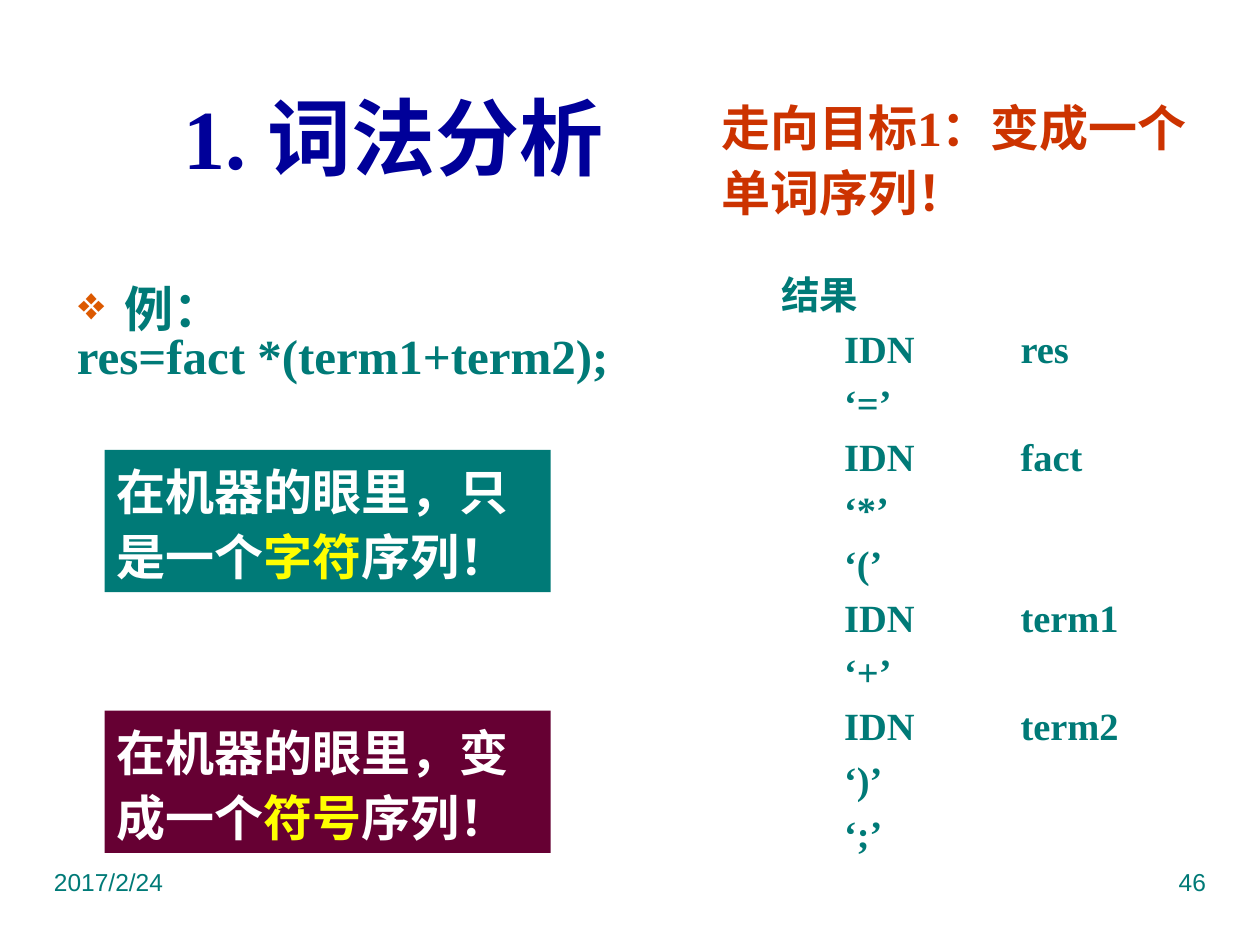
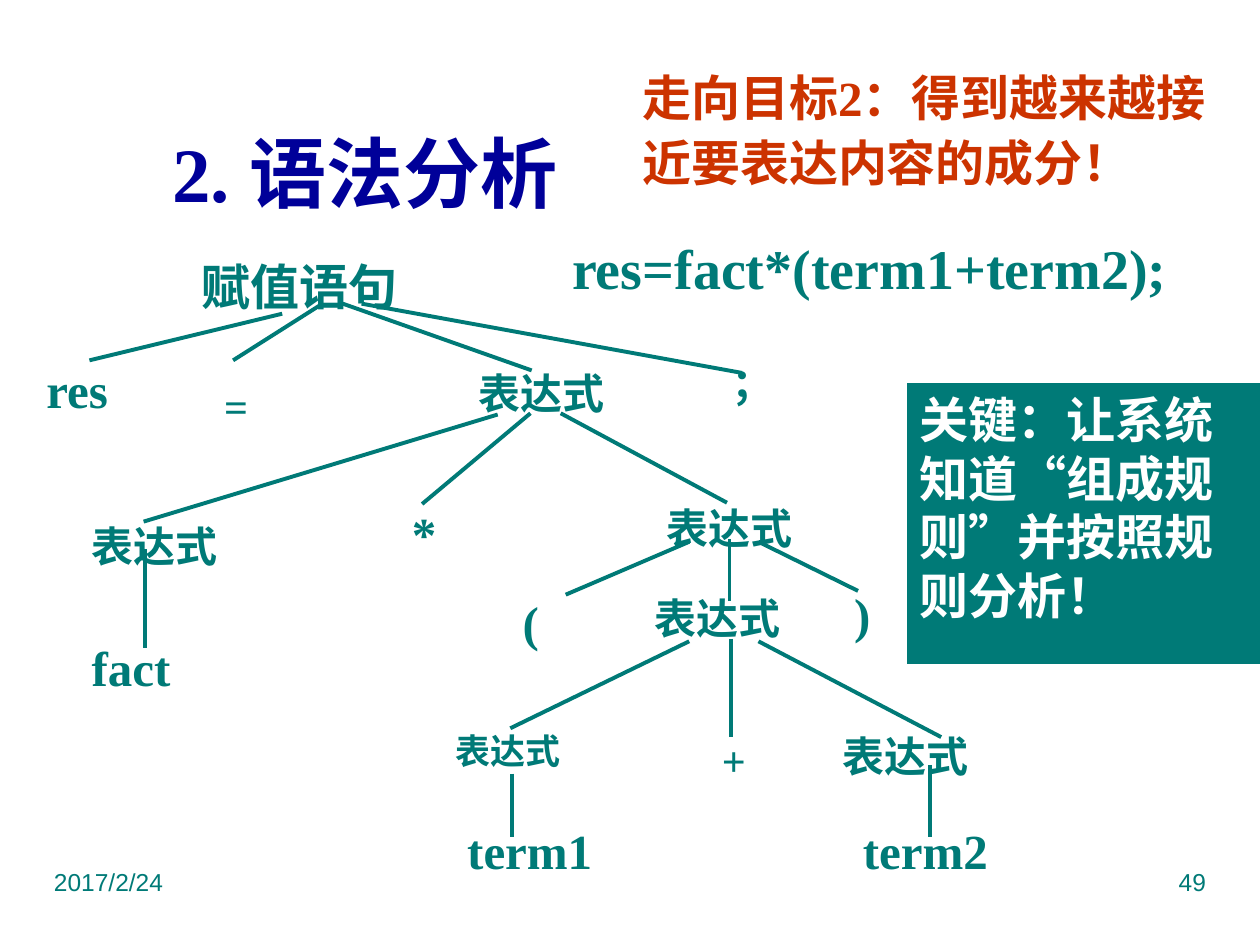
import pptx
import pptx.util
import pptx.dml.color
import pptx.enum.shapes
import pptx.enum.text
import pptx.oxml.ns
from lxml import etree

COLORS = {
    "teal": "007A77",
    "navy": "000099",
    "rust": "CC3300",
    "wine": "660033",
    "white": "FFFFFF",
    "yellow": "FFFF00",
    "bullet": "DC5900",
}
SERIF, SANS, CJK, KEY_FONT = "Times New Roman", "Arial", "Noto Sans CJK JP", "Karla"

# The slide is a grid of 10 columns by 7.5 rows of square cells.
CELL = pptx.util.Inches(1)
COLUMNS, ROWS = 10, 7.5

ALIGN = pptx.enum.text.PP_ALIGN
ANCHOR = pptx.enum.text.MSO_ANCHOR


def cells(*values):
    return [round(v * CELL) for v in values]


def rgb(name):
    return pptx.dml.color.RGBColor.from_string(COLORS[name])


def sub(parent, tag, **attrs):
    return etree.SubElement(parent, pptx.oxml.ns.qn(tag), **attrs)


def add_run(p, text, size, color="teal", font=SERIF, bold=True):
    r = p.add_run()
    r.text = text
    r.font.size = pptx.util.Pt(size)
    r.font.name = font
    r.font.bold = bold
    r.font.color.rgb = rgb(color)
    sub(r._r.get_or_add_rPr(), "a:ea", typeface=CJK)


def format_list_item(p, margin, indent, bullet=None):
    """Set the margin and hanging indent, with an optional bullet sign."""
    pPr = p._p.get_or_add_pPr()
    left, hang = cells(margin, indent)
    pPr.set("marL", str(left))
    pPr.set("indent", str(hang))
    if bullet:
        clr = sub(pPr, "a:buClr")
        sub(clr, "a:srgbClr", val=COLORS["bullet"])
        sub(pPr, "a:buSzPct", val="75000")
        sub(pPr, "a:buFont", typeface=SERIF)
        sub(pPr, "a:buChar", char=bullet)
    else:
        sub(pPr, "a:buNone")


def space(p, before=0, line=1.0):
    p.space_before = pptx.util.Pt(before)
    p.line_spacing = line


def place(sp, box):
    sp.left, sp.top, sp.width, sp.height = cells(*box)
    tf = sp.text_frame
    tf.auto_size = pptx.enum.text.MSO_AUTO_SIZE.NONE
    tf.word_wrap = True
    return tf


def add_text(s, box, runs, line=1.1, align=None, wrap=True):
    """Add a one-paragraph text box; each run is a tuple for add_run."""
    tf = place(s.shapes.add_textbox(0, 0, 0, 0), box)
    tf.word_wrap = wrap
    p = tf.paragraphs[0]
    space(p, line=line)
    if align is not None:
        p.alignment = align
    for run in runs:
        add_run(p, *run)


def add_panel(s, box, fill, runs, line=1.1):
    sp = s.shapes.add_shape(pptx.enum.shapes.MSO_SHAPE.RECTANGLE, 0, 0, 0, 0)
    sp.shadow.inherit = False
    sp.fill.solid()
    sp.fill.fore_color.rgb = rgb(fill)
    sp.line.fill.background()
    tf = place(sp, box)
    tf.vertical_anchor = ANCHOR.TOP
    p = tf.paragraphs[0]
    p.alignment = ALIGN.LEFT
    space(p, line=line)
    for run in runs:
        add_run(p, *run)


def add_branch(s, start, end):
    c = s.shapes.add_connector(
        pptx.enum.shapes.MSO_CONNECTOR.STRAIGHT, *cells(*start, *end))
    c.line.color.rgb = rgb("teal")
    c.line.width = pptx.util.Pt(2.25)
    sub(c._element.spPr, "a:effectLst")


def add_slide(prs, layout, number, title, title_box, size):
    s = prs.slides.add_slide(prs.slide_layouts[layout])
    tf = place(s.shapes.title, title_box)
    tf.vertical_anchor = ANCHOR.MIDDLE
    p = tf.paragraphs[0]
    p.alignment = ALIGN.CENTER
    add_run(p, title, size, "navy")
    width, top, edge = 2.5, 6.83, 0.33
    for left, text, align in ((edge, "2017/2/24", ALIGN.LEFT),
                              (COLUMNS - edge - width, number, ALIGN.RIGHT)):
        add_text(s, (left, top, width, 0.52),
                 [(text, 14, "teal", SANS, False)], 1.0, align)
    return s


def add_goal(s, box, text):
    add_text(s, box, [(text, 28, "rust")])


def add_machine_view(s, top, fill, verb, unit):
    add_panel(s, (0.83, top, 3.54, 1.13), fill, [
        (f"在机器的眼里，{verb}一个", 28, "white", CJK),
        (unit, 28, "yellow", CJK),
        ("序列！", 28, "white", CJK),
    ])


def fill_example(tf):
    p = tf.paragraphs[0]
    format_list_item(p, 0.38, -0.38, "❖")
    space(p, line=0.8)
    add_run(p, "例：", 28)
    p = tf.add_paragraph()
    format_list_item(p, 0.38, -0.38)
    space(p, line=0.8)
    add_run(p, "res=fact *(term1+term2);", 28)


def fill_tokens(tf, tokens):
    p = tf.paragraphs[0]
    format_list_item(p, 0.38, -0.38)
    space(p)
    add_run(p, "结果", 22)
    for token in tokens:
        p = tf.add_paragraph()
        p.level = 1
        # The hanging indent doubles as the column stop for the names.
        format_list_item(p, 1.9, -1.4)
        space(p, before=4.4)
        add_run(p, token, 22)


def lexical_slide(prs):
    s = add_slide(prs, 3, "46", "1. 词法分析", (0.75, 0.68, 4.74, 0.8), 48)
    example, result = list(s.placeholders)[1:3]
    fill_example(place(example, (0.51, 2.25, 5.2, 0.94)))
    fill_tokens(place(result, (6.1, 2.1, 3.54, 4.88)), [
        "IDN\tres", "‘=’", "IDN\tfact", "‘*’", "‘(’",
        "IDN\tterm1", "‘+’", "IDN\tterm2", "‘)’", "‘;’",
    ])
    add_machine_view(s, 3.57, "teal", "只是", "字符")
    add_goal(s, (5.63, 0.68, 4.09, 1.13), "走向目标1：变成一个单词序列！")
    add_machine_view(s, 5.64, "wine", "变成", "符号")


def add_syntax_tree(s):
    branches = [
        # statement
        ((2.24, 2.49), (0.71, 2.86)), ((2.56, 2.41), (1.85, 2.86)),
        ((2.72, 2.41), (4.22, 2.94)), ((2.87, 2.41), (5.89, 2.96)),
        # product
        ((3.95, 3.29), (1.14, 4.14)), ((4.21, 3.28), (3.35, 4)),
        ((4.45, 3.28), (5.77, 3.99)), ((1.15, 4.36), (1.15, 5.14)),
        # brackets
        ((5.47, 4.3), (4.49, 4.72)), ((5.79, 4.28), (5.79, 4.77)),
        ((6.02, 4.3), (6.81, 4.69)),
        # sum
        ((5.47, 5.09), (4.05, 5.78)), ((5.8, 5.07), (5.8, 5.85)),
        ((6.02, 5.09), (7.47, 5.85)),
        ((4.06, 6.14), (4.06, 6.64)), ((7.38, 6.07), (7.38, 6.64)),
    ]
    nodes = [
        (1.5, 1.94, 1.86, "赋值语句", 28),
        (0.27, 2.76, 0.7, "res", 28),
        (1.68, 2.93, 0.39, "=", 24),
        (3.7, 2.83, 1.2, "表达式", 24),
        (0.63, 4.04, 1.2, "表达式", 24),
        (3.17, 3.9, 0.4, "*", 28),
        (5.19, 3.9, 1.2, "表达式", 24),
        (0.63, 4.96, 0.83, "fact", 28),
        (4.05, 4.61, 0.33, "(", 28),
        (5.1, 4.61, 1.2, "表达式", 24),
        (6.68, 4.54, 0.33, ")", 28),
        (3.52, 5.71, 1.27, "表达式", 20),
        (5.63, 5.74, 0.39, "+", 24),
        (6.59, 5.71, 1.4, "表达式", 24),
        (3.61, 6.42, 1.39, "term1", 28),
        (6.75, 6.42, 1.32, "term2", 28),
    ]
    heights = {20: 0.47, 24: 0.54, 28: 0.61}
    for start, end in branches:
        add_branch(s, start, end)
    for left, top, width, text, size in nodes:
        add_text(s, (left, top, width, heights[size]), [(text, size)],
                 wrap=width > 1.2)
    add_text(s, (5.63, 2.85, 0.57, 0.46), [("；", 24)], 0.9)


def syntax_slide(prs):
    s = add_slide(prs, 1, "49", "2. 语法分析", (0.98, 0.99, 3.83, 0.75), 44)
    p = place(s.placeholders[1], (4.44, 1.86, 5.56, 0.58)).paragraphs[0]
    format_list_item(p, 0.38, -0.38)
    space(p, line=0.9)
    add_run(p, "res=fact*(term1+term2);", 32)
    add_syntax_tree(s)
    add_panel(s, (7.2, 3.04, 2.8, 2.23), "teal", [
        (text, 28, "white", font) for text, font in (
            ("关键：让系统知道", KEY_FONT), ("“", SANS), ("组成规则", KEY_FONT),
            ("”", SANS), ("并按照规则分析！", KEY_FONT))
    ], line=1.0)
    add_goal(s, (5, 0.44, 4.73, 1.13), "走向目标2：得到越来越接近要表达内容的成分！")


def main():
    prs = pptx.Presentation()
    prs.slide_width, prs.slide_height = cells(COLUMNS, ROWS)
    lexical_slide(prs)
    syntax_slide(prs)
    prs.save("out.pptx")


if __name__ == "__main__":
    main()
